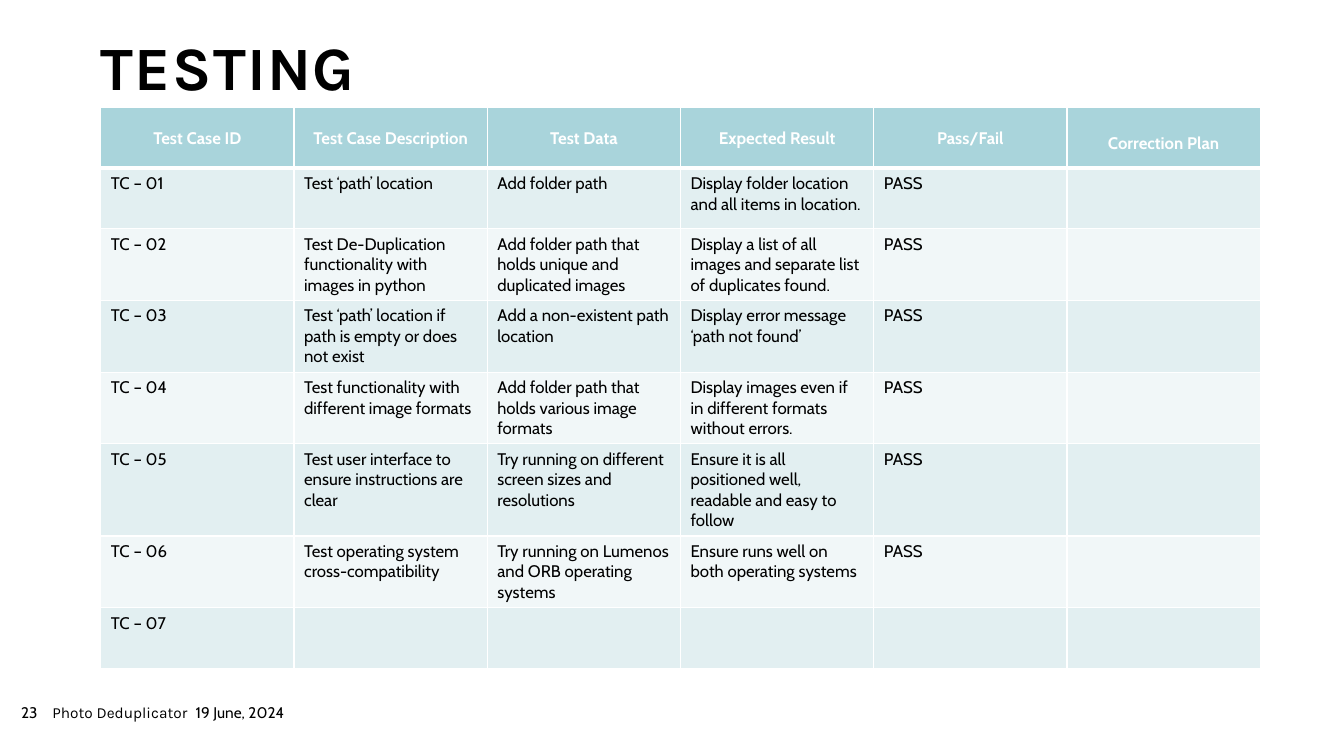
import pptx
import pptx.dml.color
import pptx.enum.text
import pptx.oxml
import pptx.oxml.ns
import pptx.util
from pptx.util import Inches

RGBColor = pptx.dml.color.RGBColor
ALIGN = pptx.enum.text.PP_ALIGN
ANCHOR = pptx.enum.text.MSO_ANCHOR

BLACK = RGBColor(0x00, 0x00, 0x00)
WHITE = RGBColor(0xFF, 0xFF, 0xFF)
TEAL = RGBColor(0xA9, 0xD4, 0xDB)
BANDS = [RGBColor(0xE2, 0xEF, 0xF1), RGBColor(0xF1, 0xF7, 0xF8)]

HEADS = ["Test Case ID", "Test Case Description", "Test Data",
         "Expected Result", "Pass/Fail", "Correction Plan"]
CASES = [
    ("Test ‘path’ location", "Add folder path",
     "Display folder location and all items in location.", "PASS"),
    ("Test De-Duplication functionality with images in python",
     "Add folder path that holds unique and duplicated images",
     "Display a list of all images and separate list of duplicates found.", "PASS"),
    ("Test ‘path’ location if path is empty or does not exist",
     "Add a non-existent path location",
     "Display error message ‘path not found’", "PASS"),
    ("Test functionality with different image formats",
     "Add folder path that holds various image formats",
     "Display images even if in different formats without errors.", "PASS"),
    ("Test user interface to ensure instructions are clear",
     "Try running on different screen sizes and resolutions",
     "Ensure it is all positioned well, readable and easy to follow", "PASS"),
    ("Test operating system cross-compatibility",
     "Try running on Lumenos and ORB operating systems",
     "Ensure runs well on both operating systems", "PASS"),
    (),
]


def set_font(para, name, size, color, bold=False):
    font = para.font
    font.name = name
    font.size = pptx.util.Pt(size)
    font.color.rgb = color
    font.bold = bold


def clear_insets(frame):
    frame.margin_left = frame.margin_right = 0
    frame.margin_top = frame.margin_bottom = 0
    frame.word_wrap = True
    frame.auto_size = pptx.enum.text.MSO_AUTO_SIZE.NONE


def add_title(slide, left, top, width, height):
    title = slide.shapes.title
    title.left, title.top = Inches(left), Inches(top)
    title.width, title.height = Inches(width), Inches(height)
    frame = title.text_frame
    frame.text = "TESTING"
    clear_insets(frame)
    frame.vertical_anchor = ANCHOR.BOTTOM
    para = frame.paragraphs[0]
    para.alignment = ALIGN.LEFT
    para.line_spacing = 0.9
    set_font(para, "Karla", 44, BLACK, True)
    para.runs[0].font._element.set("spc", "100")


def add_borders(cell, base):
    """Draw white cell edges, with the bottom one `base` points wide."""
    props = cell._tc.get_or_add_tcPr()
    space = pptx.oxml.ns.nsdecls("a")
    for spot, (side, width) in enumerate(
            [("L", 1), ("R", 1), ("T", 1), ("B", base)]):
        props.insert(spot, pptx.oxml.parse_xml(
            f'<a:ln{side} {space} w="{pptx.util.Pt(width)}"><a:solidFill>'
            f'<a:srgbClr val="{WHITE}"/></a:solidFill></a:ln{side}>'))


def fill_cell(cell, text, color, base=1):
    cell.fill.solid()
    cell.fill.fore_color.rgb = color
    cell.text = text
    add_borders(cell, base)
    return cell.text_frame.paragraphs[0]


def fill_heads(table):
    last = len(HEADS) - 1
    for col, text in enumerate(HEADS):
        cell = table.cell(0, col)
        para = fill_cell(cell, text, TEAL, 3)
        set_font(para, "Cabin", 12, WHITE, True)
        para.alignment = ALIGN.CENTER
        if col == last:
            para.line_spacing = 2.0
            continue
        para.line_spacing = 1.07
        para.space_after = pptx.util.Pt(8)
        cell.vertical_anchor = ANCHOR.MIDDLE
        cell.margin_left = cell.margin_right = Inches(0.01)
        cell.margin_top = cell.margin_bottom = Inches(0.01)


def add_cases(slide, left, top, width, row_height):
    count = len(CASES) + 1
    table = slide.shapes.add_table(
        count, len(HEADS), Inches(left), Inches(top),
        Inches(width), Inches(row_height * count)).table
    fill_heads(table)
    for row, case in enumerate(CASES, 1):
        texts = [f"TC – {row:02}", *case]
        texts += [""] * (len(HEADS) - len(texts))
        for col, text in enumerate(texts):
            para = fill_cell(table.cell(row, col), text, BANDS[(row - 1) % 2])
            set_font(para, "Cabin", 12, BLACK)


def add_footer(slide, left, top, height):
    for text, shift, width, face in [
            ("23", 0, 0.57, "Cabin"),
            ("Photo Deduplicator", 0.31, 1.64, "Karla"),
            ("19 June, 2024", 1.73, 1.44, "Cabin")]:
        box = slide.shapes.add_textbox(
            Inches(left + shift), Inches(top), Inches(width), Inches(height))
        box.text_frame.text = text
        clear_insets(box.text_frame)
        set_font(box.text_frame.paragraphs[0], face, 11, BLACK)


def main():
    deck = pptx.Presentation()
    deck.slide_width, deck.slide_height = Inches(13.33), Inches(7.5)
    slide = deck.slides.add_slide(deck.slide_layouts.get_by_name("Title Only"))
    add_title(slide, 1, 0.36, 8.84, 0.67)
    add_footer(slide, 0.21, 6.98, 0.27)
    add_cases(slide, 1, 1.07, 11.5, 0.6)
    deck.save("out.pptx")


if __name__ == "__main__":
    main()
